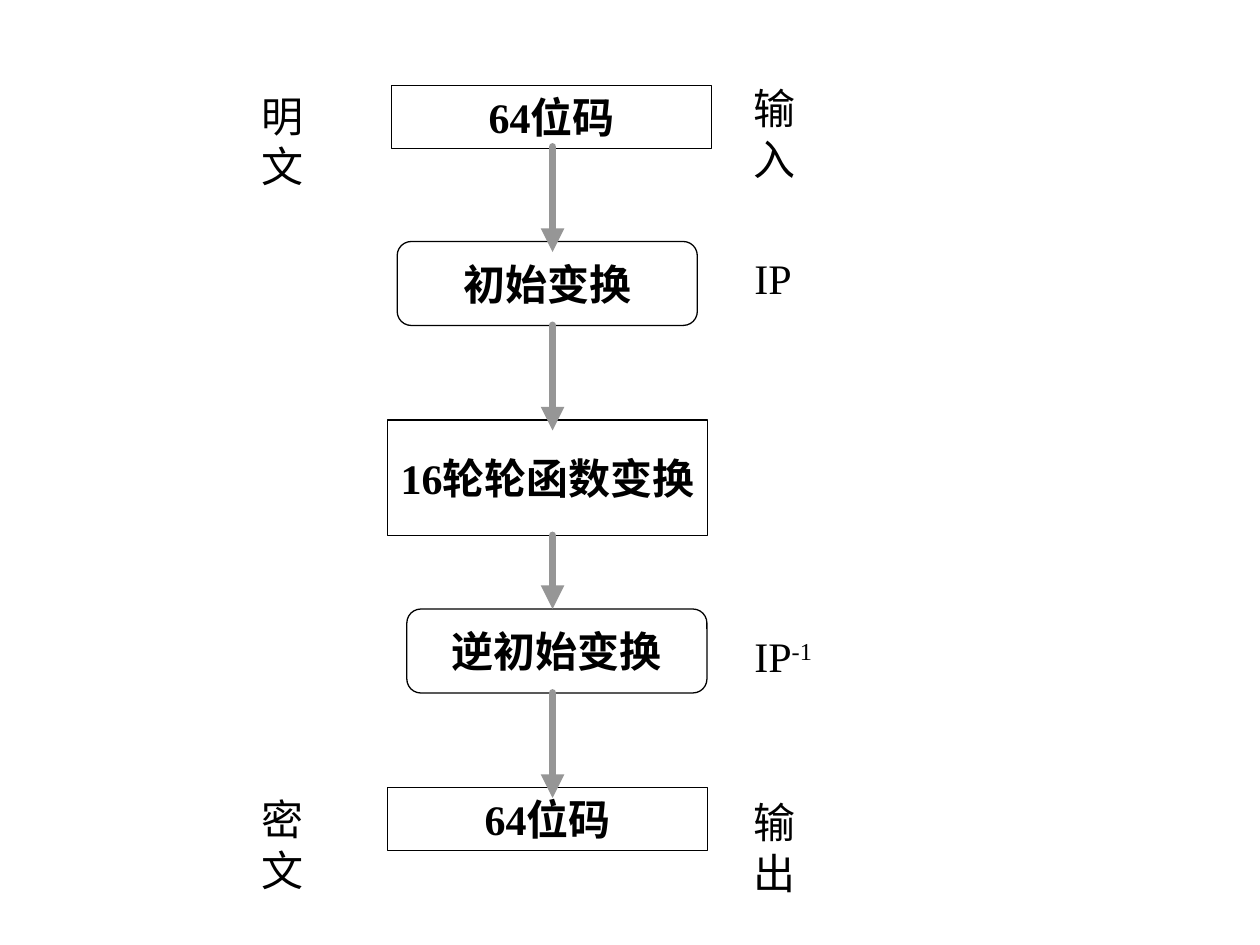
from lxml.etree import SubElement
from pptx import Presentation
from pptx.dml.color import RGBColor
from pptx.enum.shapes import MSO_CONNECTOR, MSO_SHAPE
from pptx.enum.text import MSO_ANCHOR, MSO_AUTO_SIZE, PP_ALIGN
from pptx.oxml.ns import qn
from pptx.util import Pt

COLORS = {"paper": "FFFFFF", "ink": "000000", "arrow": "969696"}
FONT = {"name": "Times New Roman", "size": Pt(24)}
RECT, ROUND = MSO_SHAPE.RECTANGLE, MSO_SHAPE.ROUNDED_RECTANGLE
SIZES = {RECT: 183, ROUND: 171.5}

# text, shape, left, top, height
STEPS = [
    ("64位码", RECT, 223.75, 48.75, 36),
    ("初始变换", ROUND, 227, 138, 48),
    ("16轮轮函数变换", RECT, 221.5, 240, 66),
    ("逆初始变换", ROUND, 232.5, 348, 48),
    ("64位码", RECT, 221.5, 450, 36),
]

# text, superscript, left, top, width, alignment
LABELS = [
    ("明文", "", 130.25, 48.25, 62, PP_ALIGN.CENTER),
    ("密文", "", 130.25, 450, 62, PP_ALIGN.CENTER),
    ("输入", "", 423.5, 43.75, 62, PP_ALIGN.LEFT),
    ("输出", "", 423.5, 451.75, 62, PP_ALIGN.LEFT),
    ("IP", "", 424, 141, 35.5, PP_ALIGN.LEFT),
    ("IP", "-1", 424, 357, 47.5, PP_ALIGN.LEFT),
]
LABEL_HEIGHT = 36

ARROW_X = 315.75
ARROW_SPANS = [(84, 144), (186, 246), (306, 348), (396, 456)]


def color(name):
    return RGBColor.from_string(COLORS[name])


def add_run(paragraph, text, bold):
    run = paragraph.add_run()
    run.text = text
    for attribute, value in {**FONT, "bold": bold}.items():
        setattr(run.font, attribute, value)
    run.font.color.rgb = color("ink")
    return run


def add_step(slide, text, kind, left, top, height):
    shape = slide.shapes.add_shape(kind, Pt(left), Pt(top), Pt(SIZES[kind]), Pt(height))
    shape.shadow.inherit = False
    shape.fill.solid()
    shape.fill.fore_color.rgb = color("paper")
    shape.line.color.rgb = color("ink")
    shape.line.width = Pt(0.75)
    frame = shape.text_frame
    frame.word_wrap = False
    frame.vertical_anchor = MSO_ANCHOR.MIDDLE
    paragraph = frame.paragraphs[0]
    paragraph.alignment = PP_ALIGN.CENTER
    add_run(paragraph, text, True)


def add_label(slide, text, superscript, left, top, width, alignment):
    box = slide.shapes.add_textbox(Pt(left), Pt(top), Pt(width), Pt(LABEL_HEIGHT))
    frame = box.text_frame
    frame.word_wrap = False
    frame.auto_size = MSO_AUTO_SIZE.SHAPE_TO_FIT_TEXT
    paragraph = frame.paragraphs[0]
    paragraph.alignment = alignment
    add_run(paragraph, text, False)
    if superscript:
        run = add_run(paragraph, superscript, False)
        run._r.get_or_add_rPr().set("baseline", "30000")


def add_arrow(slide, top, bottom):
    arrow = slide.shapes.add_connector(
        MSO_CONNECTOR.STRAIGHT, Pt(ARROW_X), Pt(top), Pt(ARROW_X), Pt(bottom))
    arrow.line.color.rgb = color("arrow")
    arrow.line.width = Pt(4.5)
    line = arrow.line._get_or_add_ln()
    line.set("cap", "rnd")
    SubElement(line, qn("a:round"))
    SubElement(line, qn("a:tailEnd"), type="triangle")
    SubElement(arrow._element.spPr, qn("a:effectLst"))


def main():
    presentation = Presentation()
    presentation.slide_width, presentation.slide_height = Pt(720), Pt(540)
    slide = presentation.slides.add_slide(presentation.slide_layouts[6])
    for step in STEPS:
        add_step(slide, *step)
    for label in LABELS:
        add_label(slide, *label)
    for span in ARROW_SPANS:
        add_arrow(slide, *span)
    presentation.save("out.pptx")


if __name__ == "__main__":
    main()
